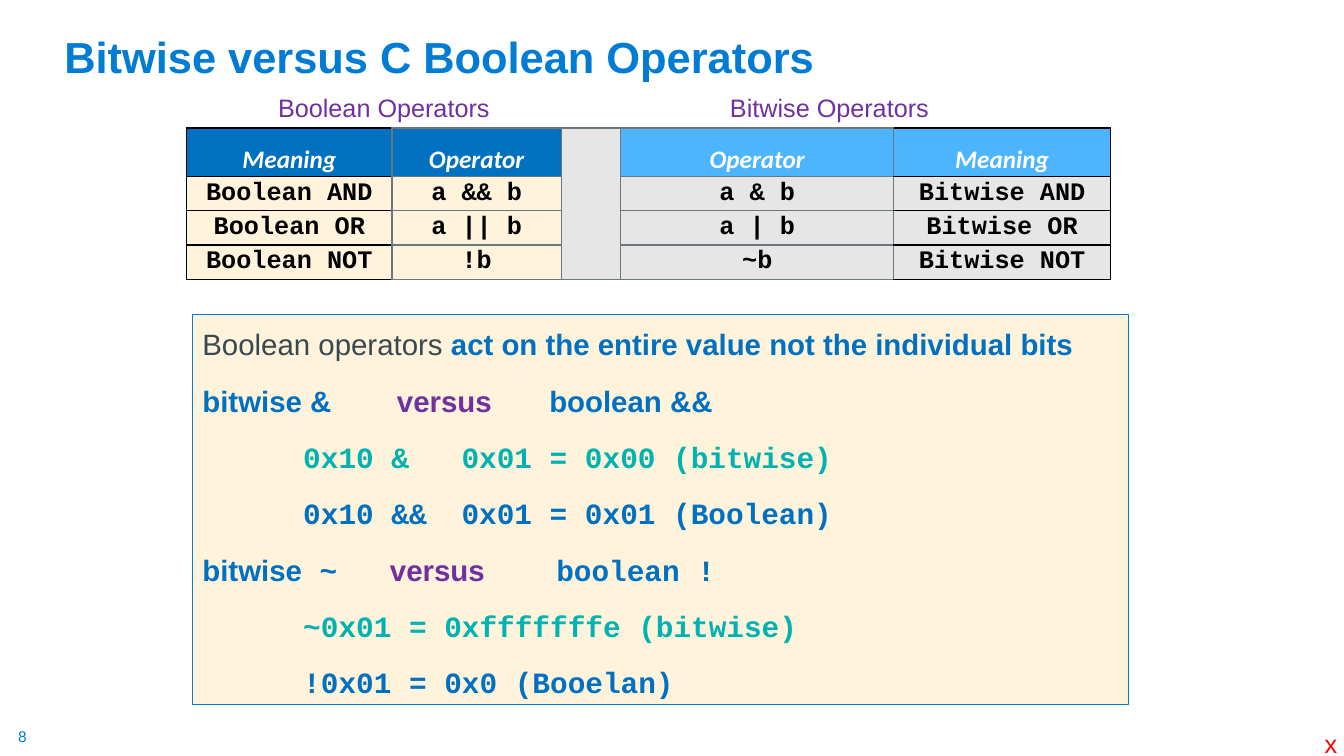
from dataclasses import dataclass

from pptx import Presentation
from pptx import util as u
from pptx.dml.color import RGBColor
from pptx.enum import shapes, text
from pptx.oxml.ns import qn
from lxml import etree


@dataclass(frozen=True)
class Theme:
    """Colours, fonts and type sizes of the slide."""
    sky: str = "007CD5"
    blue: str = "0070C0"
    light_blue: str = "4DB5FF"
    purple: str = "7030A0"
    teal: str = "00B2B1"
    slate: str = "384851"
    cream: str = "FFF4DB"
    grey: str = "E7E6E6"
    rule: str = "6B767D"
    black: str = "000000"
    white: str = "FFFFFF"
    red: str = "FF0000"
    sans: str = "Arial"
    head: str = "Calibri"
    code: str = "Courier New"
    title: int = 31
    body: int = 21
    table: int = 18
    number: int = 11


T = Theme()
WIDTH, HEIGHT = u.Inches(13.33), u.Inches(7.5)
COLUMNS, ROWS = 40, 30


def grid(left, top, width, height):
    """Turn grid columns and rows into a box of slide lengths."""
    column, row = WIDTH / COLUMNS, HEIGHT / ROWS
    return [u.Emu(round(n)) for n in (left * column, top * row, width * column, height * row)]


def write(paragraph, words, size=T.table, color=T.black, font=T.sans, bold=False, italic=False):
    """Add one formatted run to a paragraph."""
    run = paragraph.add_run()
    run.text = words
    run.font.size, run.font.name = u.Pt(size), font
    run.font.bold, run.font.italic = bold, italic
    run.font.color.rgb = RGBColor.from_string(color)


def add_label(slide, box, words, wrap=False, inset=None, anchor=None, spacing=None, **style):
    """Place a single line of text in a box."""
    frame = slide.shapes.add_textbox(*box).text_frame
    frame.word_wrap = wrap
    if inset is not None:
        frame.margin_left = frame.margin_right = frame.margin_top = frame.margin_bottom = inset
    if anchor is not None:
        frame.vertical_anchor = anchor
    if spacing:
        frame.paragraphs[0].line_spacing = spacing
    write(frame.paragraphs[0], words, **style)


def set_borders(cell, **colors):
    """Draw one-point cell borders, keyed by side L, R, T and B."""
    properties = cell._tc.get_or_add_tcPr()
    for side, color in colors.items():
        line = etree.SubElement(properties, qn(f"a:ln{side}"), w=str(u.Pt(1)))
        etree.SubElement(etree.SubElement(line, qn("a:solidFill")), qn("a:srgbClr"), val=color)


def add_operator_table(slide, box):
    """Fill the box with the Boolean and bitwise operator table."""
    rows = [
        ("Meaning", "Operator", "", "Operator", "Meaning"),
        ("Boolean AND", "a && b", "", "a & b", "Bitwise AND"),
        ("Boolean OR", "a || b", "", "a | b", "Bitwise OR"),
        ("Boolean NOT", "!b", "", "~b", "Bitwise NOT"),
    ]
    column_shares = (6.12, 5.04, 1.77, 8.13, 6.45)
    row_shares = (1.92, 1.29, 1.29, 1.29)
    head_fills = (T.blue, T.blue, T.grey, T.light_blue, T.light_blue)
    body_fills = (T.cream, T.cream, T.grey, T.grey, T.grey)
    table = slide.shapes.add_table(len(rows), len(column_shares), *box).table
    table.first_row = table.horz_banding = False
    for column, share in zip(table.columns, column_shares):
        column.width = u.Emu(round(box[2] * share / sum(column_shares)))
    for row, share in zip(table.rows, row_shares):
        row.height = u.Emu(round(box[3] * share / sum(row_shares)))
    table.cell(0, 2).merge(table.cell(len(rows) - 1, 2))
    last = len(column_shares) - 1
    for r, words in enumerate(rows):
        for c, word in enumerate(words):
            cell = table.cell(r, c)
            edge = T.black if c in (0, last) else T.rule
            set_borders(cell, L=T.black if c == 0 else T.rule,
                        R=T.black if c == last else T.rule, T=edge, B=edge)
            cell.fill.solid()
            fill = body_fills[c] if r else head_fills[c]
            cell.fill.fore_color.rgb = RGBColor.from_string(fill)
            cell.vertical_anchor = text.MSO_ANCHOR.MIDDLE
            cell.margin_left = cell.margin_right = u.Inches(0.08)
            cell.margin_top = cell.margin_bottom = u.Inches(0.02 if r else 0.01)
            if not word:
                continue
            paragraph = cell.text_frame.paragraphs[0]
            paragraph.alignment = text.PP_ALIGN.CENTER
            if r:
                write(paragraph, word, font=T.code, bold=True)
            else:
                paragraph.line_spacing = 1.5
                write(paragraph, word, font=T.head, color=T.white, bold=True, italic=True)


def set_tabs(paragraph, stops):
    """Give a paragraph left tab stops in inches."""
    tabs = etree.SubElement(paragraph._p.get_or_add_pPr(), qn("a:tabLst"))
    for stop in stops:
        etree.SubElement(tabs, qn("a:tab"), pos=str(u.Inches(stop)), algn="l")


def add_explanation(slide, box):
    """Fill the box with the framed comparison of the operators."""
    strong = dict(color=T.blue, bold=True)
    versus = dict(color=T.purple, bold=True)
    code = dict(font=T.code, **strong)
    result = dict(font=T.code, color=T.teal, bold=True)
    code_stops = (1, 2.57)
    lines = [
        ((), [("Boolean operators ", dict(color=T.slate)),
              ("act on the entire value not the individual bits", strong)]),
        ((1.93, 3.44), [("bitwise &\t", strong), ("versus\t", versus), ("boolean &&", strong)]),
        (code_stops, [("\t0x10 &\t0x01 = 0x00 (bitwise)", result)]),
        (code_stops, [("\t0x10 &&\t0x01 = 0x01 (Boolean)", code)]),
        ((1.86, 3.51), [("bitwise", strong), (" ~\t", code), ("versus\t", versus),
                        ("boolean !", code)]),
        (code_stops, [("\t~0x01 = 0xfffffffe (bitwise)", result)]),
        (code_stops, [("\t!0x01 = 0x0 (Booelan)", code)]),
    ]
    panel = slide.shapes.add_shape(shapes.MSO_SHAPE.RECTANGLE, *box)
    panel.shadow.inherit = False
    panel.fill.solid()
    panel.fill.fore_color.rgb = RGBColor.from_string(T.cream)
    panel.line.color.rgb = RGBColor.from_string(T.sky)
    panel.line.width = u.Pt(0.75)
    frame = panel.text_frame
    frame.word_wrap = True
    frame.vertical_anchor = text.MSO_ANCHOR.TOP
    for i, (stops, runs) in enumerate(lines):
        paragraph = frame.add_paragraph() if i else frame.paragraphs[0]
        if stops:
            set_tabs(paragraph, stops)
        paragraph.alignment = text.PP_ALIGN.LEFT
        paragraph.line_spacing = 1.2
        paragraph.space_before = u.Pt(10 if i else 0)
        for words, style in runs:
            write(paragraph, words, size=T.body, **style)


def main():
    """Build the slide and save it."""
    deck = Presentation()
    deck.slide_width, deck.slide_height = WIDTH, HEIGHT
    slide = deck.slides.add_slide(deck.slide_layouts[6])
    add_label(slide, grid(0.54, 28.84, 0.57, 0.76), "8", inset=0, size=T.number, color=T.sky)
    add_explanation(slide, grid(5.73, 12.48, 27.85, 15.48))
    add_label(slide, grid(1.62, 0.36, 34.5, 3.12), "Bitwise versus C Boolean Operators",
              wrap=True, anchor=text.MSO_ANCHOR.BOTTOM, spacing=0.9,
              size=T.title, color=T.sky, bold=True)
    add_operator_table(slide, grid(5.55, 5.08, 27.5, 5.8))
    add_label(slide, grid(39.13, 28.72, 1, 1.6), "x", color=T.red)
    add_label(slide, grid(7.98, 3.48, 6.96, 1.6), "Boolean Operators", color=T.purple)
    add_label(slide, grid(21.43, 3.48, 6.57, 1.6), "Bitwise Operators", color=T.purple)
    deck.save("out.pptx")


if __name__ == "__main__":
    main()
